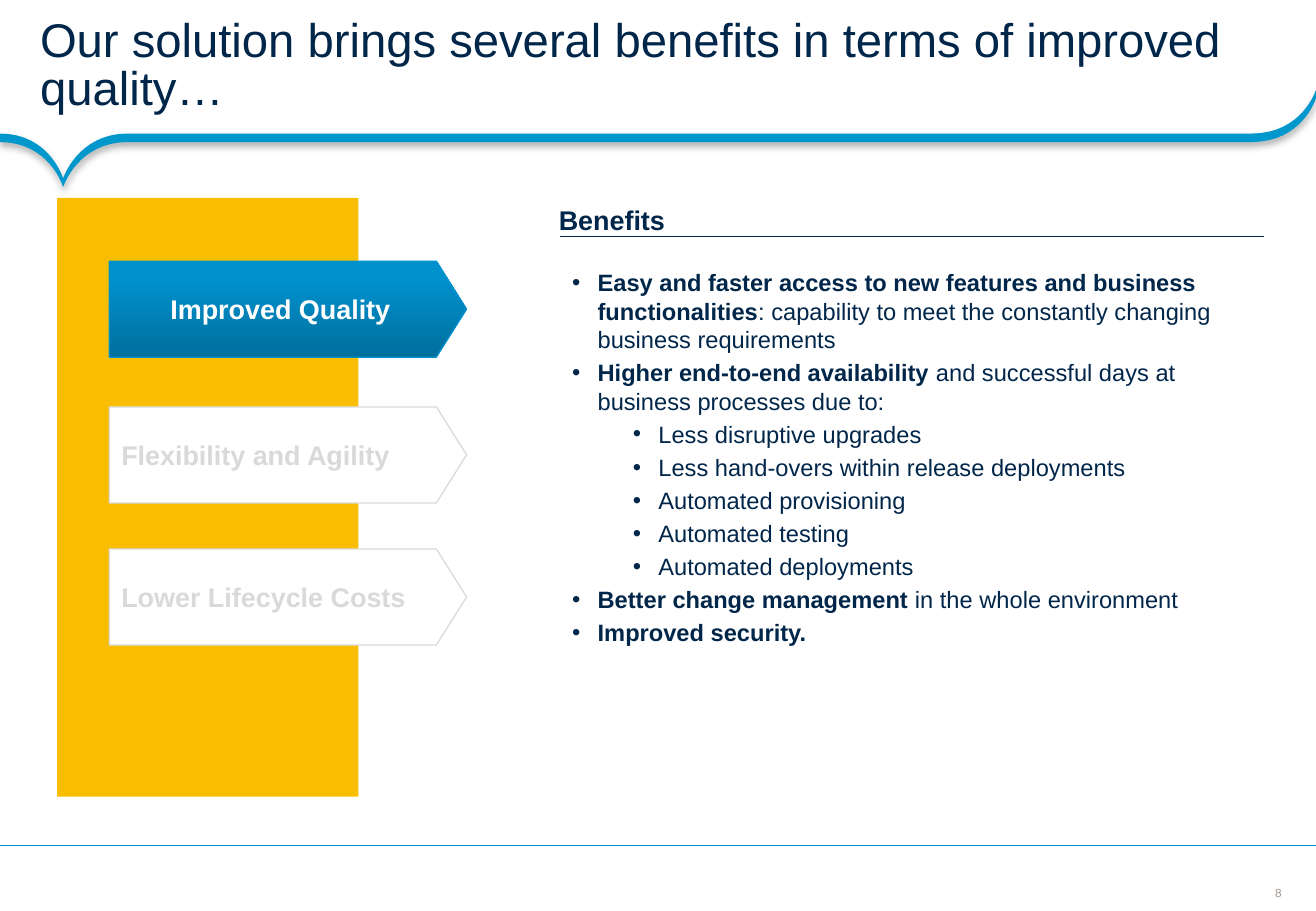
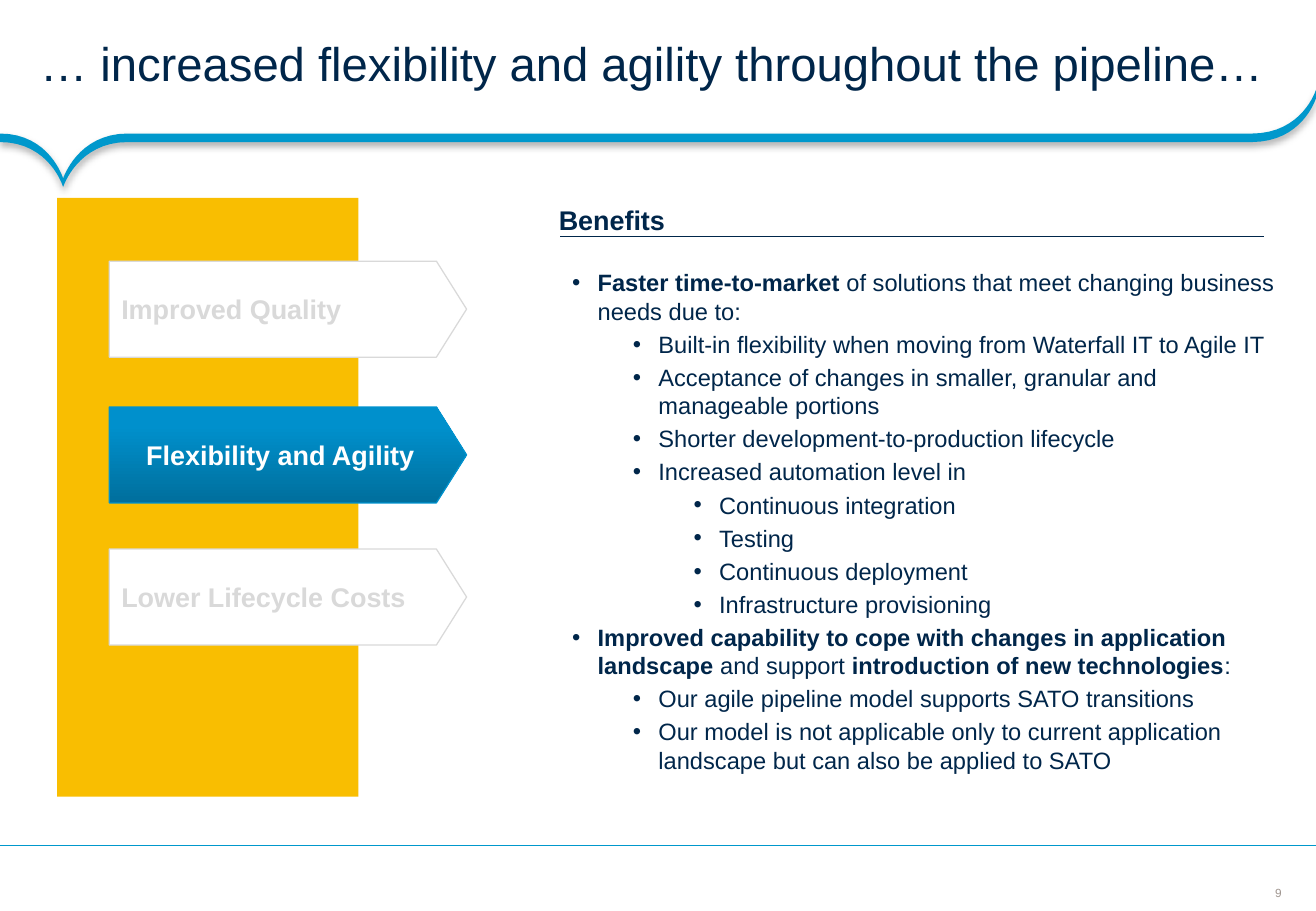
from dataclasses import dataclass
from lxml.etree import SubElement
from pptx import Presentation
from pptx.dml.color import RGBColor
from pptx.enum.shapes import MSO_CONNECTOR, MSO_SHAPE
from pptx.enum.text import MSO_ANCHOR, PP_ALIGN
from pptx.oxml.ns import qn
from pptx.util import Inches, Pt


@dataclass(frozen=True)
class Theme:
    font: str = "Arial"
    navy: str = "00264A"
    blue: str = "0098CC"
    edge: str = "0092CE"
    gold: str = "F9BE01"
    pale: str = "D9D9D9"
    white: str = "FFFFFF"
    grey: str = "9F958F"
    black: str = "000000"
    fade: tuple = ((0, "006F9D"), (80, "0090CC"), (100, "0091CD"))
    title: int = 28
    head: int = 16
    body: int = 14
    foot: int = 7


T = Theme()
WIDE, HIGH = 10.83, 7.5
LABELS = ("Improved Quality", "Flexibility and Agility", "Lower Lifecycle Costs")
TOPS = (2.15, 3.35, 4.52)

# Runs of a top-level item alternate between bold and plain.
PAGES = [
    dict(
        num="8", active=0, box=(4.61, 2.16, 5.52, 1.79),
        title="Our solution brings several benefits in terms of improved quality…",
        items=[
            (0, "Easy and faster access to new features and business functionalities",
             ": capability to meet the constantly changing business requirements"),
            (0, "Higher end-to-end availability",
             " and successful days at business processes due to:"),
            (1, "Less disruptive upgrades"),
            (1, "Less hand-overs within release deployments"),
            (1, "Automated provisioning"),
            (1, "Automated testing"),
            (1, "Automated deployments"),
            (0, "Better change management", " in the whole environment"),
            (0, "Improved security."),
        ],
    ),
    dict(
        num="9", active=1, box=(4.61, 2.16, 6.01, 4.54),
        title="… increased flexibility and agility throughout the pipeline…",
        items=[
            (0, "Faster time-to-market ",
             "of solutions that meet changing business needs due to:"),
            (1, "Built-in flexibility when moving from Waterfall IT to Agile IT"),
            (1, "Acceptance of changes in smaller, granular and manageable portions"),
            (1, "Shorter development-to-production lifecycle"),
            (1, "Increased automation level in"),
            (2, "Continuous integration"),
            (2, "Testing"),
            (2, "Continuous deployment"),
            (2, "Infrastructure provisioning"),
            (0, "Improved capability to cope with changes in application landscape",
             " and support ", "introduction of new technologies", ":"),
            (1, "Our agile pipeline model supports SATO transitions"),
            (1, "Our model is not applicable only to current application landscape "
                "but can also be applied to SATO"),
        ],
    ),
]


def color(code):
    return RGBColor.from_string(code)


def place(*box):
    return [Inches(v) for v in box]


def add_run(para, text, size, code, bold=False):
    run = para.add_run()
    run.text = text
    font = run.font
    font.name, font.size, font.bold = T.font, Pt(size), bold
    font.color.rgb = color(code)


def setup(frame, pads=(0.1, 0.05, 0.1, 0.05), wrap=True, anchor=MSO_ANCHOR.TOP):
    frame.word_wrap = wrap
    frame.vertical_anchor = anchor
    (frame.margin_left, frame.margin_top,
     frame.margin_right, frame.margin_bottom) = place(*pads)
    return frame.paragraphs[0]


def add_text(slide, box, text, size, code, bold=False, **opts):
    frame = slide.shapes.add_textbox(*place(*box)).text_frame
    para = setup(frame, **opts)
    add_run(para, text, size, code, bold)
    return para


def paint(shape, fill, line=None):
    shape.shadow.inherit = False
    shape.fill.solid()
    shape.fill.fore_color.rgb = color(fill)
    if line:
        shape.line.color.rgb = color(line)
        shape.line.width = Pt(0.75)
    else:
        shape.line.fill.background()


def add_line(slide, start, end, code):
    line = slide.shapes.add_connector(MSO_CONNECTOR.STRAIGHT, *place(*start, *end))
    line.line.color.rgb = color(code)
    line.line.width = Pt(0.75)
    SubElement(line._element.spPr, qn("a:effectLst"))


def curve(a, b, c, d, steps=16):
    for i in range(steps + 1):
        t = i / steps
        u = 1 - t
        yield tuple(u**3 * p + 3 * u * u * t * q + 3 * u * t * t * r + t**3 * s
                    for p, q, r, s in zip(a, b, c, d))


def add_band(slide):
    base, tip, thick = 1.1, 1.47, 0.07
    end, low = (WIDE, 0.74), (0.52, tip)
    top = [
        *curve(end, end, (10.72, base), (10.3, base)),
        *curve((1.05, base), (0.64, base), low, low),
        *curve(low, low, (0.41, base), (0, base)),
    ]
    edge = top + [(x, y + thick) for x, y in reversed(top)]
    pts = [place(*p) for p in edge]
    form = slide.shapes.build_freeform(*pts[0])
    form.add_line_segments(pts[1:], close=True)
    band = form.convert_to_shape()
    paint(band, T.blue)
    glow = SubElement(band._element.spPr.find(qn("a:effectLst")), qn("a:outerShdw"),
                      blurRad=str(Pt(4)), dist=str(Pt(2)), dir="5400000",
                      algn="t", rotWithShape="0")
    tone = SubElement(glow, qn("a:srgbClr"), val=T.black)
    SubElement(tone, qn("a:alpha"), val="31000")


def fade(shape):
    shape.fill.gradient()
    shape.fill.gradient_angle = 90
    stops = shape._element.spPr.find(".//" + qn("a:gsLst"))
    for stop in list(stops):
        stops.remove(stop)
    for pos, code in T.fade:
        stop = SubElement(stops, qn("a:gs"), pos=str(pos * 1000))
        SubElement(stop, qn("a:srgbClr"), val=code)


def add_arrow(slide, top, label, active):
    arrow = slide.shapes.add_shape(MSO_SHAPE.PENTAGON, *place(0.9, top, 2.94, 0.79))
    arrow.adjustments[0] = 0.314
    paint(arrow, T.white, T.edge if active else T.pale)
    pads = (0.1, 0.05, 0.1, 0.05)
    if active:
        fade(arrow)
        pads = (0.2,) * 4
    para = setup(arrow.text_frame, pads, anchor=MSO_ANCHOR.MIDDLE)
    para.alignment = PP_ALIGN.CENTER if active else PP_ALIGN.LEFT
    add_run(para, label, T.head, T.white if active else T.pale, True)


def add_list(slide, box, items):
    frame = slide.shapes.add_textbox(*place(*box)).text_frame
    para = setup(frame)
    for i, (level, *runs) in enumerate(items):
        if i:
            para = frame.add_paragraph()
        para.level = level + 1
        para.space_before = Pt(T.body * 0.2)
        props = para._p.get_or_add_pPr()
        props.set("marL", str(Inches(0.21 + level * 0.5)))
        props.set("indent", str(Inches(-0.21)))
        SubElement(props, qn("a:buFont"), typeface=T.font)
        SubElement(props, qn("a:buChar"), char="•")
        for j, text in enumerate(runs):
            add_run(para, text, T.body, T.navy, level == 0 and j % 2 == 0)


def add_frame(slide, title, num):
    para = add_text(slide, (10.46, 7.29, 0.12, 0.12), num, T.foot, T.grey,
                    pads=(0,) * 4, wrap=False, anchor=MSO_ANCHOR.MIDDLE)
    para.alignment = PP_ALIGN.CENTER
    add_band(slide)
    add_line(slide, (WIDE, 6.96), (0, 6.96), T.blue)
    para = add_text(slide, (0, 0, WIDE, 1.1), title, T.title, T.navy,
                    pads=(0.33, 0.04, 0.18, 0.04), anchor=MSO_ANCHOR.MIDDLE)
    para.line_spacing = 0.85


def build(deck, page):
    slide = deck.slides.add_slide(deck.slide_layouts[6])
    add_frame(slide, page["title"], page["num"])
    panel = slide.shapes.add_shape(MSO_SHAPE.RECTANGLE, *place(0.47, 1.63, 2.48, 4.93))
    paint(panel, T.gold)
    for i, (top, label) in enumerate(zip(TOPS, LABELS)):
        add_arrow(slide, top, label, i == page["active"])
    add_line(slide, (4.61, 1.95), (10.4, 1.95), T.navy)
    add_text(slide, (4.5, 1.63, 1.08, 0.37), "Benefits", T.head, T.navy, True, wrap=False)
    add_list(slide, page["box"], page["items"])


def main():
    deck = Presentation()
    deck.slide_width, deck.slide_height = place(WIDE, HIGH)
    for page in PAGES:
        build(deck, page)
    deck.save("out.pptx")


if __name__ == "__main__":
    main()
